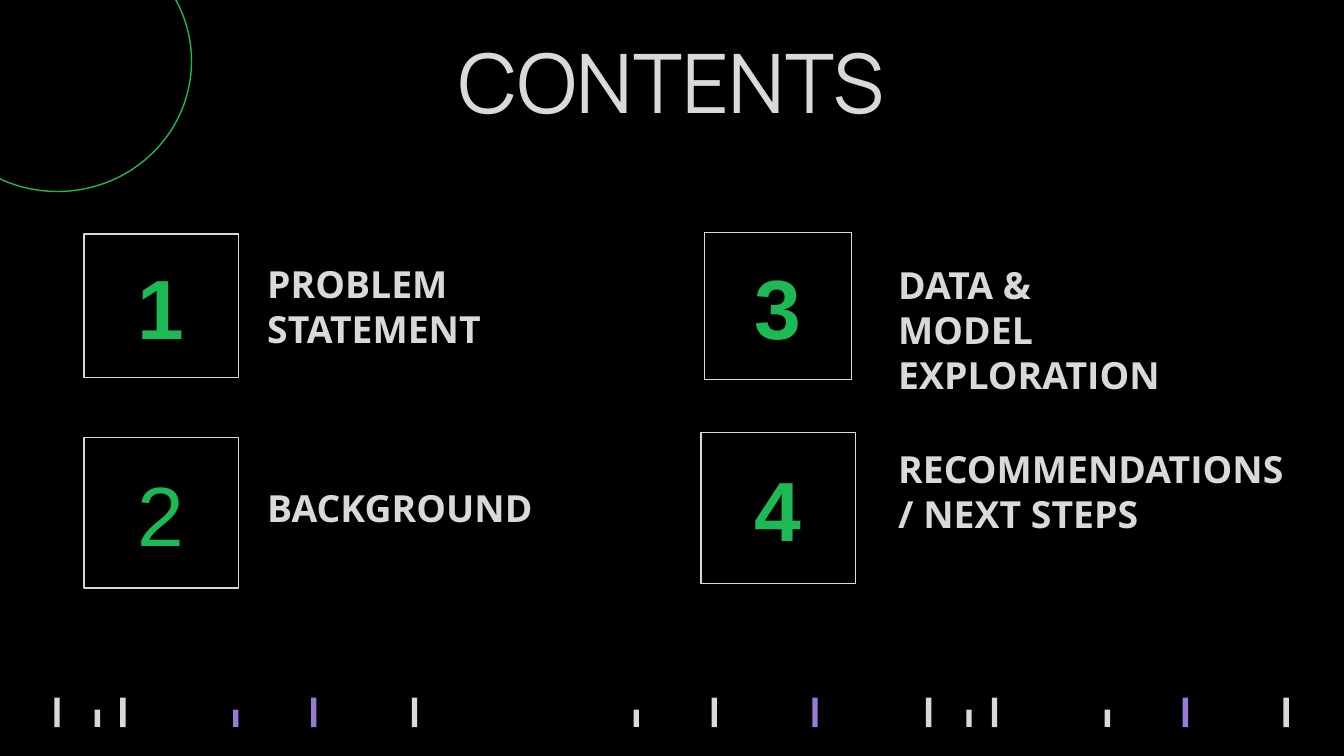
from pptx import Presentation
from pptx.dml.color import RGBColor
from pptx.enum.shapes import MSO_SHAPE
from pptx.enum.text import MSO_ANCHOR, MSO_AUTO_SIZE, PP_ALIGN
from pptx.util import Inches, Pt

RECTANGLE, OVAL = MSO_SHAPE.RECTANGLE, MSO_SHAPE.OVAL
TOP, MIDDLE = MSO_ANCHOR.TOP, MSO_ANCHOR.MIDDLE
LEFT, CENTER = PP_ALIGN.LEFT, PP_ALIGN.CENTER
NO_FIT = MSO_AUTO_SIZE.NONE
TITLE_ONLY = 5

WIDTH = Inches(10)
HEIGHT = WIDTH * 9 // 16
UNIT = WIDTH / 100
BLACK, GREY, GREEN, PURPLE = "000000", "D9D9D9", "1DB954", "9A7AD4"

ENTRIES = [
    ("1", True, (6.25, 17.4, 11.5, 10.7), "PROBLEM STATEMENT", (18.9, 18.45, 25.7, 8.8)),
    ("2", False, (6.25, 32.55, 11.5, 11.2), "BACKGROUND", (18.9, 35.1, 27.6, 5.4)),
    ("3", True, (52.4, 17.3, 10.95, 10.95), "DATA & MODEL EXPLORATION", (65.85, 18.5, 22, 8.8)),
    ("4", True, (52.15, 32.2, 11.5, 11.2), "RECOMMENDATIONS / NEXT STEPS", (65.85, 32.2, 31.7, 8.8)),
]

TALL, SHORT = 2.2, 1.3
BAR_WIDTH = 0.4
BAR_PATTERN = [(0, TALL), (3, SHORT), (4.9, TALL), (13.3, SHORT), (19.1, TALL), (26.6, TALL)]
BAR_GROUPS = [
    (4.05, 0, [GREY, GREY, GREY, PURPLE, PURPLE, GREY]),
    (33.85, 3, [GREY, GREY, PURPLE]),
    (68.9, 0, [GREY, GREY, GREY, GREY, PURPLE, GREY]),
]


def color(value):
    return RGBColor.from_string(value)


def grid(box):
    return [round(length * UNIT) for length in box]


def add_plain_shape(slide, kind, box, fill=None, line=None):
    shape = slide.shapes.add_shape(kind, *grid(box))
    shape.shadow.inherit = False
    if fill:
        shape.fill.solid()
        shape.fill.fore_color.rgb = color(fill)
    else:
        shape.fill.background()
    if line:
        shape.line.color.rgb = color(line)
        shape.line.width = Pt(0.75)
    else:
        shape.line.fill.background()
    return shape


def set_text(shape, text, font_name, size, text_color, bold, alignment, anchor):
    frame = shape.text_frame
    frame.text = text
    frame.word_wrap = True
    frame.auto_size = NO_FIT
    frame.vertical_anchor = anchor
    frame.margin_left = frame.margin_right = Inches(0.1)
    frame.margin_top = frame.margin_bottom = Inches(0.1)
    paragraph = frame.paragraphs[0]
    paragraph.alignment = alignment
    font = paragraph.font
    font.name, font.size, font.bold = font_name, Pt(size), bold
    font.color.rgb = color(text_color)
    return paragraph


def add_title(slide, box, text):
    title = slide.shapes.title
    title.left, title.top, title.width, title.height = grid(box)
    paragraph = set_text(title, text, "Manrope", 44, GREY, False, CENTER, MIDDLE)
    paragraph.line_spacing = 0.8


def add_entry(slide, number, bold, number_box, label, label_box):
    square = add_plain_shape(slide, RECTANGLE, number_box, line=GREY)
    set_text(square, number, "Arial", 45, GREEN, bold, CENTER, MIDDLE)
    text_box = slide.shapes.add_textbox(*grid(label_box))
    set_text(text_box, label, "Open Sans", 20, GREY, True, LEFT, TOP)


def add_bar_strip(slide, baseline):
    for start, first, colors in BAR_GROUPS:
        for (offset, height), fill in zip(BAR_PATTERN[first:], colors):
            box = (start + offset, baseline - height, BAR_WIDTH, height)
            add_plain_shape(slide, RECTANGLE, box, fill=fill)


def build_contents_slide(presentation):
    slide = presentation.slides.add_slide(presentation.slide_layouts[TITLE_ONLY])
    slide.background.fill.solid()
    slide.background.fill.fore_color.rgb = color(BLACK)
    add_bar_strip(slide, 54.1)
    add_title(slide, (24.4, 2.85, 51.2, 7.6), "CONTENTS")
    for entry in ENTRIES:
        add_entry(slide, *entry)
    add_plain_shape(slide, OVAL, (-5.7, -5.15, 19.95, 19.4), line=GREEN)


def main():
    presentation = Presentation()
    presentation.slide_width, presentation.slide_height = WIDTH, HEIGHT
    build_contents_slide(presentation)
    presentation.save("out.pptx")


if __name__ == "__main__":
    main()
